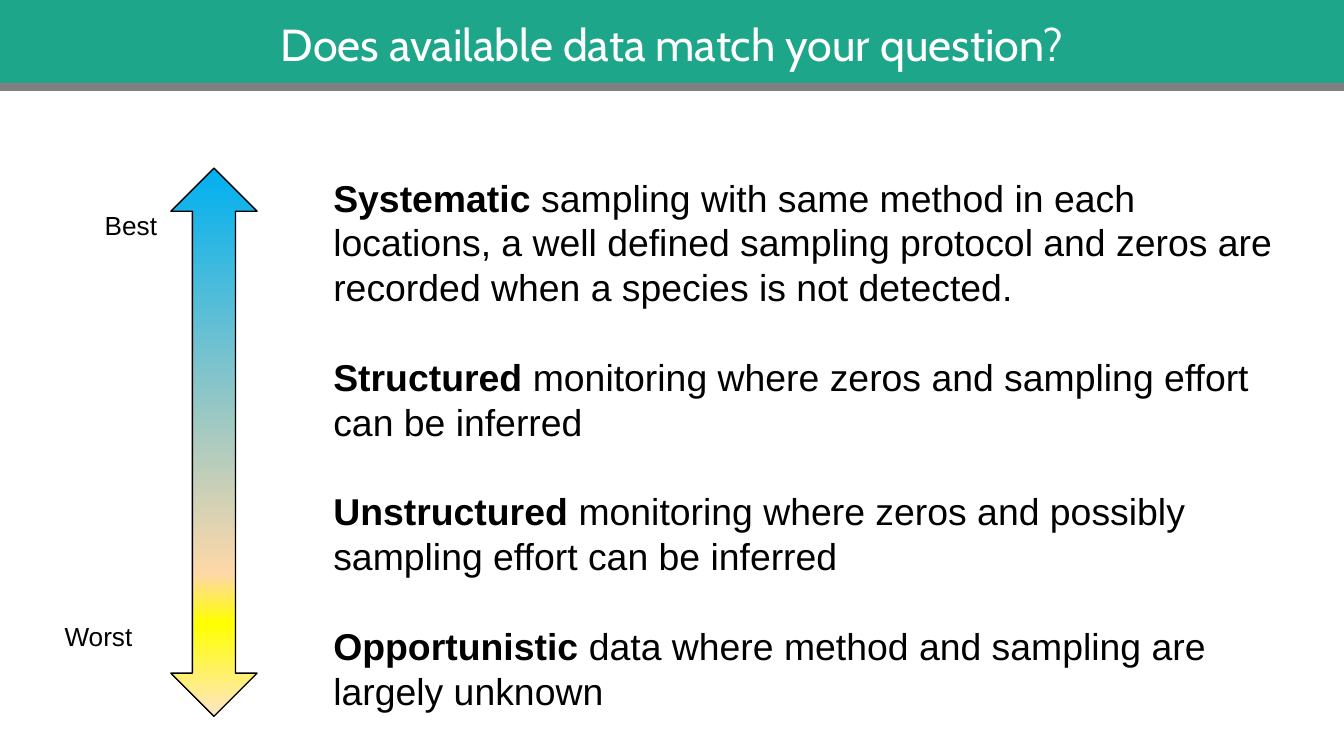
import copy
from dataclasses import dataclass

import pptx
import pptx.dml.color
import pptx.enum.shapes
import pptx.enum.text
import pptx.oxml.ns
import pptx.oxml.xmlchemy
import pptx.util

Cm = pptx.util.Cm
Pt = pptx.util.Pt
RGBColor = pptx.dml.color.RGBColor
Shape = pptx.enum.shapes.MSO_SHAPE

GREEN = RGBColor(0x1D, 0xA6, 0x8A)
GRAY = RGBColor(0x7F, 0x7F, 0x7F)
WHITE = RGBColor(0xFF, 0xFF, 0xFF)
BLACK = RGBColor(0x00, 0x00, 0x00)
BLUE = RGBColor(0x00, 0xB0, 0xF0)
PEACH = RGBColor(0xFE, 0xD8, 0xA8)
YELLOW = RGBColor(0xFF, 0xFF, 0x00)
CREAM = RGBColor(0xFF, 0xE5, 0xC5)

WIDTH = Cm(25.4)
BAR = Cm(1.65)
TOP = Cm(3.18)


@dataclass
class Label:
    text: str
    left: float
    top: float
    width: float


@dataclass
class Level:
    name: str
    detail: str


@dataclass
class Stop:
    place: float
    color: RGBColor


LABELS = [
    Label("Worst", 0.97, 11.61, 2.13),
    Label("Best", 1.73, 3.84, 12.5),
]

LEVELS = [
    Level("Systematic", " sampling with same method in each locations, a well defined "
          "sampling protocol and zeros are recorded when a species is not detected."),
    Level("Structured", " monitoring where zeros and sampling effort can be inferred"),
    Level("Unstructured", " monitoring where zeros and possibly sampling effort can be inferred"),
    Level("Opportunistic", " data where method and sampling are largely unknown"),
]

STOPS = [Stop(0, BLUE), Stop(0.74, PEACH), Stop(0.83, YELLOW), Stop(1, CREAM)]


def style(run, size: float, color: RGBColor = BLACK, face: str = "Arial", bold: bool = False) -> None:
    run.font.name = face
    run.font.size = Pt(size)
    run.font.bold = bold
    run.font.color.rgb = color


def add_head(slide, text: str) -> None:
    bar = slide.shapes.add_shape(Shape.RECTANGLE, 0, 0, WIDTH, BAR)
    bar.shadow.inherit = False
    bar.fill.solid()
    bar.fill.fore_color.rgb = GREEN
    bar.line.fill.background()
    frame = bar.text_frame
    frame.text = text
    frame.vertical_anchor = pptx.enum.text.MSO_ANCHOR.MIDDLE
    para = frame.paragraphs[0]
    para.alignment = pptx.enum.text.PP_ALIGN.CENTER
    style(para.runs[0], 24, WHITE, "Cabin")

    rule = slide.shapes.add_connector(
        pptx.enum.shapes.MSO_CONNECTOR.STRAIGHT, 0, BAR, WIDTH, BAR)
    rule.line.color.rgb = GRAY
    rule.line.width = Pt(4.5)
    props = rule._element.spPr
    props.append(pptx.oxml.xmlchemy.OxmlElement("a:effectLst"))


def add_frame(slide, left: float, top: int, width: float, height: float):
    box = slide.shapes.add_textbox(Cm(left), top, Cm(width), Cm(height))
    box.text_frame.word_wrap = True
    return box.text_frame


def add_label(slide, label: Label) -> None:
    frame = add_frame(slide, label.left, Cm(label.top), label.width, 1.45)
    frame.text = label.text
    style(frame.paragraphs[0].runs[0], 14)


def add_levels(slide, levels: list[Level]) -> None:
    frame = add_frame(slide, 6.05, TOP, 18.52, 10.52)
    for index, level in enumerate(levels):
        para = frame.add_paragraph() if index else frame.paragraphs[0]
        para.line_spacing = Pt(24)
        if index:
            para.space_before = Pt(24)
        for text, bold in ((level.name, True), (level.detail, False)):
            run = para.add_run()
            run.text = text
            style(run, 20, bold=bold)


def add_arrow(slide, stops: list[Stop]) -> None:
    arrow = slide.shapes.add_shape(
        Shape.UP_DOWN_ARROW, Cm(3.23), TOP, Cm(1.63), Cm(10.36))
    arrow.shadow.inherit = False
    arrow.line.color.rgb = BLACK
    arrow.line.width = Pt(0.75)
    fill = arrow.fill
    fill.gradient()
    fill.gradient_angle = 270
    marks = arrow._element.spPr.find(".//" + pptx.oxml.ns.qn("a:gsLst"))
    while len(marks) < len(stops):
        marks.append(copy.deepcopy(marks[0]))
    for mark, stop in zip(fill.gradient_stops, stops):
        mark.position = stop.place
        mark.color.rgb = stop.color


def main() -> None:
    deck = pptx.Presentation()
    deck.slide_width = WIDTH
    deck.slide_height = Cm(14.29)
    slide = deck.slides.add_slide(deck.slide_layouts[6])
    add_head(slide, "Does available data match your question?")
    add_levels(slide, LEVELS)
    add_arrow(slide, STOPS)
    for label in LABELS:
        add_label(slide, label)
    deck.save("out.pptx")


if __name__ == "__main__":
    main()
